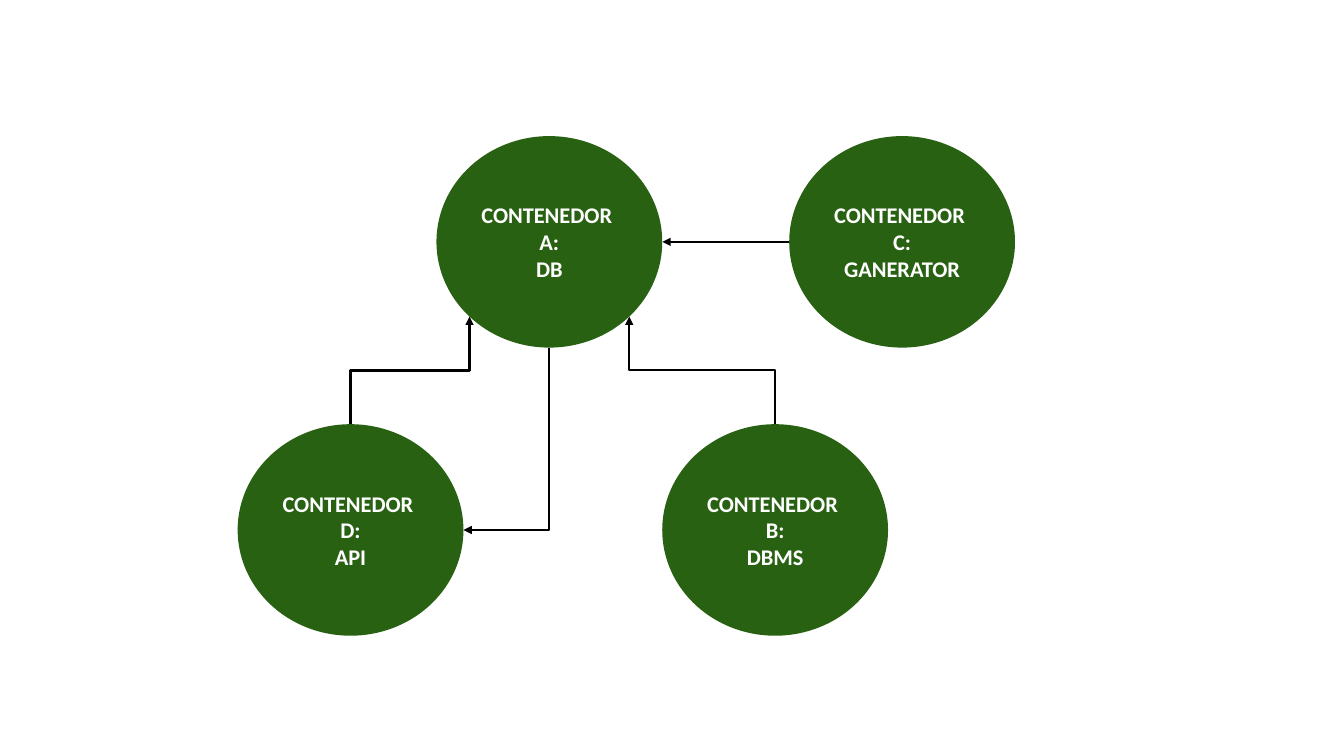
from math import sqrt
from lxml.etree import SubElement
from pptx import Presentation
from pptx.dml.color import RGBColor
from pptx.enum.shapes import MSO_CONNECTOR as LINK, MSO_SHAPE as SHAPE
from pptx.enum.text import MSO_ANCHOR as ANCHOR, PP_ALIGN as ALIGN
from pptx.oxml.ns import qn
from pptx.util import Cm, Pt

GREEN = RGBColor(0x29, 0x61, 0x13)
WHITE = RGBColor(0xFF, 0xFF, 0xFF)
BLACK = RGBColor(0, 0, 0)

NODE_W, NODE_H = Cm(5.69), Cm(5.33)
UPPER_ROW, LOWER_ROW = Cm(0), Cm(7.26)
CONTAINERS = {
    "A": ("DB", Cm(5.01), UPPER_ROW),
    "B": ("DBMS", Cm(10.7), LOWER_ROW),
    "C": ("GANERATOR", Cm(13.9), UPPER_ROW),
    "D": ("API", Cm(0), LOWER_ROW),
}

DIAGONAL = sqrt(0.5)
TOP, LEFT, LOWER_LEFT, BOTTOM, LOWER_RIGHT, RIGHT = 0, 2, 3, 4, 5, 6
SITES = {
    TOP: (0, -1),
    LEFT: (-1, 0),
    LOWER_LEFT: (-DIAGONAL, DIAGONAL),
    BOTTOM: (0, 1),
    LOWER_RIGHT: (DIAGONAL, DIAGONAL),
    RIGHT: (1, 0),
}
FLOWS = [
    ("B", TOP, "A", LOWER_RIGHT, "bentConnector3"),
    ("D", TOP, "A", LOWER_LEFT, "bentConnector3"),
    ("A", BOTTOM, "D", RIGHT, "bentConnector2"),
    ("C", LEFT, "A", RIGHT, None),
]


def add_container(slide, letter, role, left, top):
    container = slide.shapes.add_shape(SHAPE.OVAL, left, top, NODE_W, NODE_H)
    container.shadow.inherit = False
    container.fill.solid()
    container.fill.fore_color.rgb = GREEN
    container.line.fill.background()
    label = container.text_frame
    label.word_wrap = True
    label.vertical_anchor = ANCHOR.MIDDLE
    for index, wording in enumerate(("CONTENEDOR ", f"{letter}:", role)):
        line = label.add_paragraph() if index else label.paragraphs[0]
        line.alignment = ALIGN.CENTER
        run = line.add_run()
        run.text = wording
        run.font.name = "Calibri"
        run.font.size = Pt(16)
        run.font.bold = True
        run.font.color.rgb = WHITE
    return container


def site_point(container, site):
    across, down = SITES[site]
    return (int(container.left + container.width * (1 + across) / 2),
            int(container.top + container.height * (1 + down) / 2))


def add_bent(slide, start, end, preset):
    (x1, y1), (x2, y2) = start, end
    dx, dy = x2 - x1, y2 - y1
    width, height = abs(dy), abs(dx)
    left, top = (x1 + x2 - width) // 2, (y1 + y2 - height) // 2
    near, far = top, top + height
    if dx * dy > 0:
        near, far = far, near
    bent = slide.shapes.add_connector(LINK.ELBOW, left, near, left + width, far)
    properties = bent.element.spPr
    properties.find(qn("a:xfrm")).set("rot", str((90 if dy > 0 else 270) * 60000))
    properties.find(qn("a:prstGeom")).set("prst", preset)
    return bent


def add_flow(slide, source, source_site, target, target_site, preset):
    start, end = site_point(source, source_site), site_point(target, target_site)
    if preset:
        flow = add_bent(slide, start, end, preset)
    else:
        flow = slide.shapes.add_connector(LINK.STRAIGHT, *start, *end)
    flow.line.color.rgb = BLACK
    flow.line.width = Pt(1.5)
    SubElement(flow.line._get_or_add_ln(), qn("a:tailEnd"), type="triangle")
    SubElement(flow.element.spPr, qn("a:effectLst"))
    glue = flow.element.find(".//" + qn("p:cNvCxnSpPr"))
    for tag, container, site in (("a:stCxn", source, source_site),
                                 ("a:endCxn", target, target_site)):
        SubElement(glue, qn(tag), id=str(container.shape_id), idx=str(site))


def add_architecture(slide, left, top):
    containers = {
        letter: add_container(slide, letter, role, left + x, top + y)
        for letter, (role, x, y) in CONTAINERS.items()
    }
    for source, source_site, target, target_site, preset in FLOWS:
        add_flow(slide, containers[source], source_site,
                 containers[target], target_site, preset)


deck = Presentation()
deck.slide_width, deck.slide_height = Cm(33.87), Cm(19.05)
architecture_slide = deck.slides.add_slide(deck.slide_layouts[6])
add_architecture(architecture_slide, Cm(5.99), Cm(3.43))
deck.save("out.pptx")
